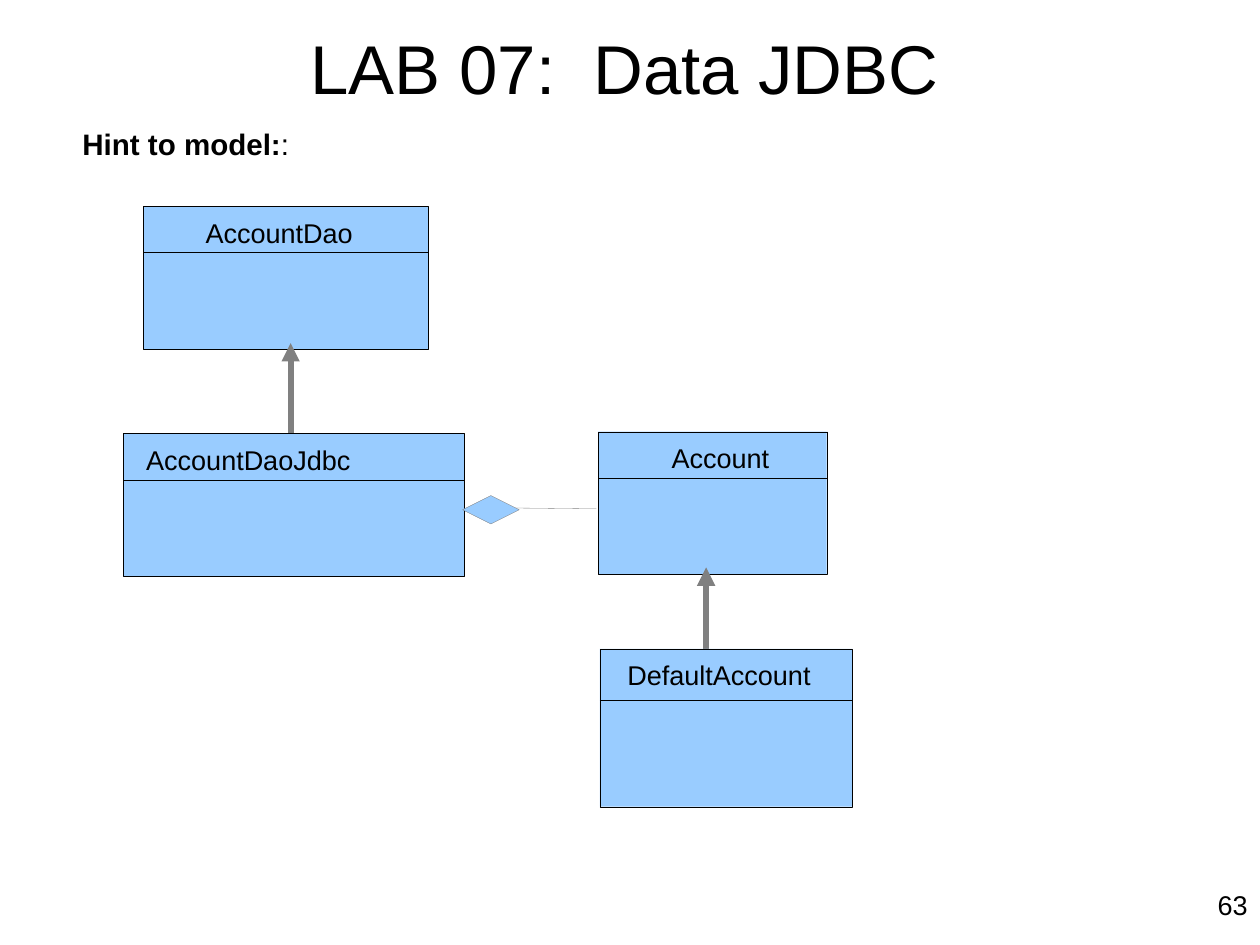
from pptx import Presentation
from pptx.dml.color import RGBColor
from pptx.enum.shapes import MSO_CONNECTOR, MSO_SHAPE
from pptx.enum.text import MSO_ANCHOR, PP_ALIGN
from pptx.oxml.ns import qn
from pptx.util import Inches, Pt
from lxml import etree

RECT, DIAMOND = MSO_SHAPE.RECTANGLE, MSO_SHAPE.DIAMOND
LINE = MSO_CONNECTOR.STRAIGHT
TOP, MIDDLE = MSO_ANCHOR.TOP, MSO_ANCHOR.MIDDLE
LEFT, CENTER, RIGHT = PP_ALIGN.LEFT, PP_ALIGN.CENTER, PP_ALIGN.RIGHT
BLACK = RGBColor(0, 0, 0)
GRAY = RGBColor(0x80, 0x80, 0x80)
BLUE = RGBColor(0x99, 0xCC, 0xFF)
THIN, THICK = 0.25, 5

CLASSES = [
    ("AccountDao", (1.62, 2.33, 3.21, 1.61), 0.52, (0.64, 2.5)),
    ("AccountDaoJdbc", (1.39, 4.89, 3.85, 1.61), 0.53, (0.2, 3.37)),
    ("Account", (6.75, 4.87, 2.58, 1.61), 0.52, (0.77, 1.4)),
    ("DefaultAccount", (6.77, 7.32, 2.85, 1.78), 0.58, (0.25, 2.45)),
]
ARROWS = [(3.28, 4.88, 3.87), (7.97, 7.41, 6.4)]


def add_text(shapes, box, runs, size, align=LEFT, anchor=TOP,
             pad=(0.06, 0.06), space=1):
    frame = shapes.add_textbox(*map(Inches, box)).text_frame
    side, edge = map(Inches, pad)
    form = {"word_wrap": True, "vertical_anchor": anchor,
            "margin_left": side, "margin_right": side,
            "margin_top": edge, "margin_bottom": edge}
    for name, value in form.items():
        setattr(frame, name, value)
    para = frame.paragraphs[0]
    para.alignment, para.line_spacing = align, space
    for text, bold in runs:
        run = para.add_run()
        run.text = text
        form = {"name": "Arial", "size": Pt(size), "bold": bold}
        for name, value in form.items():
            setattr(run.font, name, value)
        run.font.color.rgb = BLACK


def add_block(shapes, kind, box, color):
    shape = shapes.add_shape(kind, *map(Inches, box))
    shape.shadow.inherit = False
    shape.fill.solid()
    shape.fill.fore_color.rgb = BLUE
    shape.line.color.rgb = color
    shape.line.width = Pt(THIN)


def add_line(shapes, ends, color, width, arrow=False):
    line = shapes.add_connector(LINE, *map(Inches, ends))
    line.line.color.rgb = color
    line.line.width = Pt(width)
    props = line._element.spPr
    etree.SubElement(props, qn("a:effectLst"))
    if arrow:
        tail = etree.SubElement(props.find(qn("a:ln")), qn("a:tailEnd"))
        tail.set("type", "triangle")


def add_class(slide, name, box, head, label):
    left, top, width, height = box
    shift, span = label
    parts = slide.shapes.add_group_shape().shapes
    add_block(parts, RECT, box, BLACK)
    rule = top + head
    add_line(parts, (left, rule, left + width, rule), BLACK, THIN)
    add_text(parts, (left + shift, top + 0.05, span, 0.49), [(name, False)], 22)


def add_frame(slide, width, height):
    form = {"pad": (0.1, 0.05), "space": 0.93}
    add_text(slide.shapes, (width - 2.4, height - 0.66, 2.36, 0.35),
             [("63", False)], 22, RIGHT, **form)
    add_text(slide.shapes, (0.65, 0.32, 12.8, 0.97),
             [("LAB 07:  Data JDBC", False)], 56, CENTER, MIDDLE, **form)
    add_text(slide.shapes, (0.87, 1.4, 2.65, 0.5),
             [("Hint to model:", True), (":", False)], 24, space=0.93)


def add_links(slide):
    for x, start, end in ARROWS:
        add_line(slide.shapes, (x, start, x, end), GRAY, THICK, True)
    add_line(slide.shapes, (5.76, 5.73, 6.73, 5.74), GRAY, THIN)
    add_block(slide.shapes, DIAMOND, (5.22, 5.59, 0.64, 0.32), GRAY)


def main():
    width, height = 14.22, 10.66
    deck = Presentation()
    deck.slide_width, deck.slide_height = Inches(width), Inches(height)
    slide = deck.slides.add_slide(deck.slide_layouts[6])
    add_frame(slide, width, height)
    for item in CLASSES[:3]:
        add_class(slide, *item)
    add_links(slide)
    add_class(slide, *CLASSES[3])
    deck.save("out.pptx")


if __name__ == "__main__":
    main()
